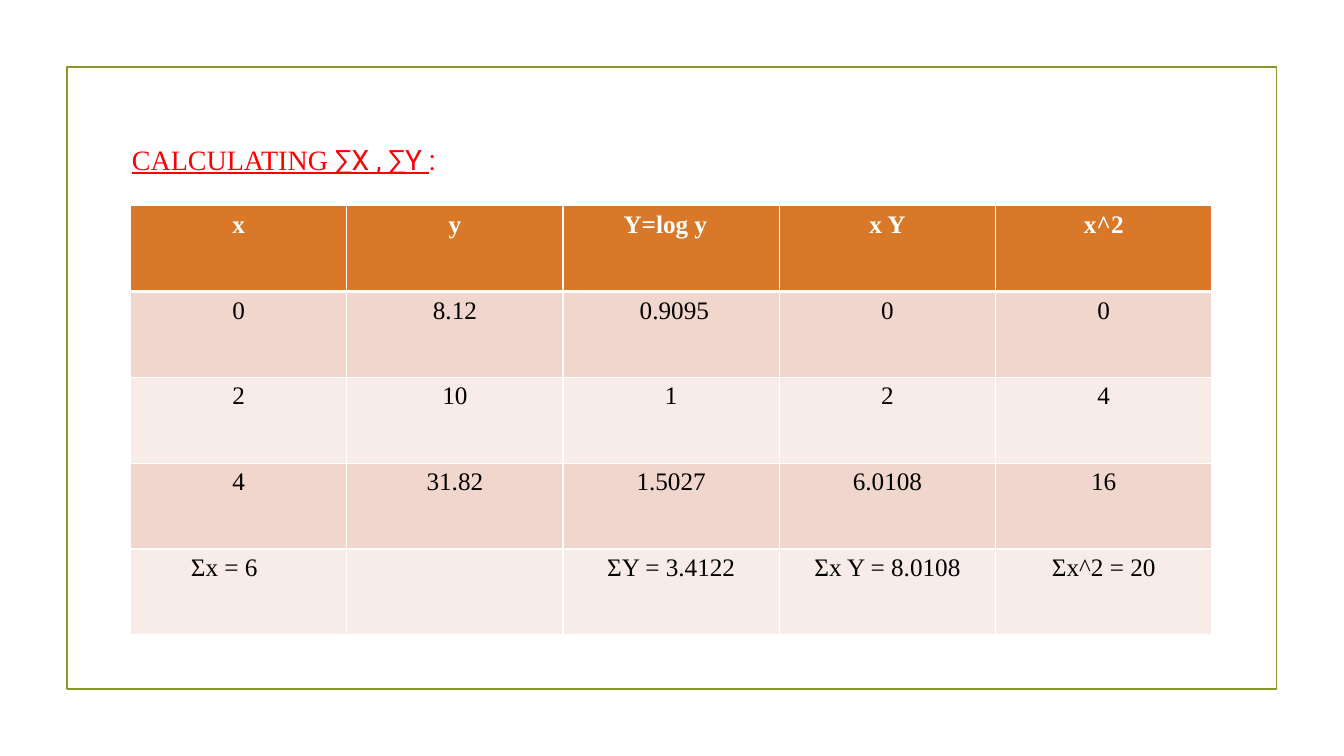
"""Build a slide with a table of sums for a logarithmic curve fit."""
from lxml import etree
from pptx import Presentation
from pptx.dml.color import RGBColor
from pptx.enum.shapes import MSO_SHAPE
from pptx.enum.text import MSO_ANCHOR, PP_ALIGN
from pptx.oxml.ns import qn
from pptx.util import Pt

RECTANGLE = MSO_SHAPE.RECTANGLE
MIDDLE = MSO_ANCHOR.MIDDLE
LEFT, CENTER = PP_ALIGN.LEFT, PP_ALIGN.CENTER

WHITE = RGBColor(0xFF, 0xFF, 0xFF)
BLACK = RGBColor(0x00, 0x00, 0x00)
RED = RGBColor(0xFF, 0x00, 0x00)
OLIVE = RGBColor(0x83, 0x99, 0x2A)
ORANGE = RGBColor(0xD9, 0x78, 0x28)
DARK_BAND = RGBColor(0xF1, 0xD6, 0xCD)
LIGHT_BAND = RGBColor(0xF8, 0xEC, 0xE8)

SERIF, SANS = "Times New Roman", "Roboto"
EMU_PER_POINT = 12700


def format_font(font, color, **formats):
    """Apply a colour and a dict of format values to a font."""
    font.color.rgb = color
    for name, value in formats.items():
        setattr(font, name, value)


def add_border(cell, side, points):
    """Add a white border to one side of a cell."""
    properties = cell._tc.get_or_add_tcPr()
    border = etree.SubElement(properties, qn(f"a:ln{side}"), w=str(points * EMU_PER_POINT))
    fill = etree.SubElement(border, qn("a:solidFill"))
    etree.SubElement(fill, qn("a:srgbClr"), val=str(WHITE))


deck = Presentation()
deck.slide_width, deck.slide_height = Pt(960), Pt(540)
page = deck.slides.add_slide(deck.slide_layouts[6])

frame = page.shapes.add_shape(RECTANGLE, Pt(47.8), Pt(48), Pt(864), Pt(444))
frame.shadow.inherit = False
frame.fill.background()
frame.line.color.rgb = OLIVE
frame.line.width = Pt(1.25)

title = page.shapes.add_textbox(Pt(87.1), Pt(94.5), Pt(772.5), Pt(38))
title.text_frame.word_wrap = True
title.text_frame.vertical_anchor = MIDDLE
para = title.text_frame.paragraphs[0]
for text, typeface, underline in [
    ("CALCULATING ", SERIF, True),
    ("∑X , ∑Y ", SANS, True),
    (":", SANS, False),
]:
    span = para.add_run()
    span.text = text
    format_font(span.font, RED, name=typeface, size=Pt(20), underline=underline)

rows = [
    ["x", "y", "Y=log y", "x Y", "x^2"],
    ["0", "8.12", "0.9095", "0", "0"],
    ["2", "10", "1", "2", "4"],
    ["4", "31.82", "1.5027", "6.0108", "16"],
    ["Σx = 6", "", "ΣY = 3.4122", "Σx Y = 8.0108", "Σx^2 = 20"],
]
row_fills = [ORANGE, DARK_BAND, LIGHT_BAND, DARK_BAND, LIGHT_BAND]
indents = {(0, 2): (LEFT, 36), (1, 2): (CENTER, 4.5), (4, 0): (LEFT, 36)}

table = page.shapes.add_table(5, 5, Pt(93.2), Pt(147), Pt(772.5), Pt(306.5)).table
for column in table.columns:
    column.width = Pt(154.5)
for row_index, values in enumerate(rows):
    table.rows[row_index].height = Pt(61.3)
    is_header = row_index == 0
    borders = {"L": 1, "R": 1, "T": 3 if row_index == 1 else 1, "B": 3 if is_header else 1}
    for column_index, value in enumerate(values):
        cell = table.cell(row_index, column_index)
        for side, points in borders.items():
            add_border(cell, side, points)
        cell.fill.solid()
        cell.fill.fore_color.rgb = row_fills[row_index]
        alignment, indent = indents.get((row_index, column_index), (CENTER, 0))
        para = cell.text_frame.paragraphs[0]
        para.alignment = alignment
        if indent:
            para._p.get_or_add_pPr().set("marL", str(int(indent * EMU_PER_POINT)))
        if value:
            span = para.add_run()
            span.text = value
            format_font(span.font, WHITE if is_header else BLACK,
                        name=SERIF, size=Pt(18), bold=is_header)

deck.save("out.pptx")
